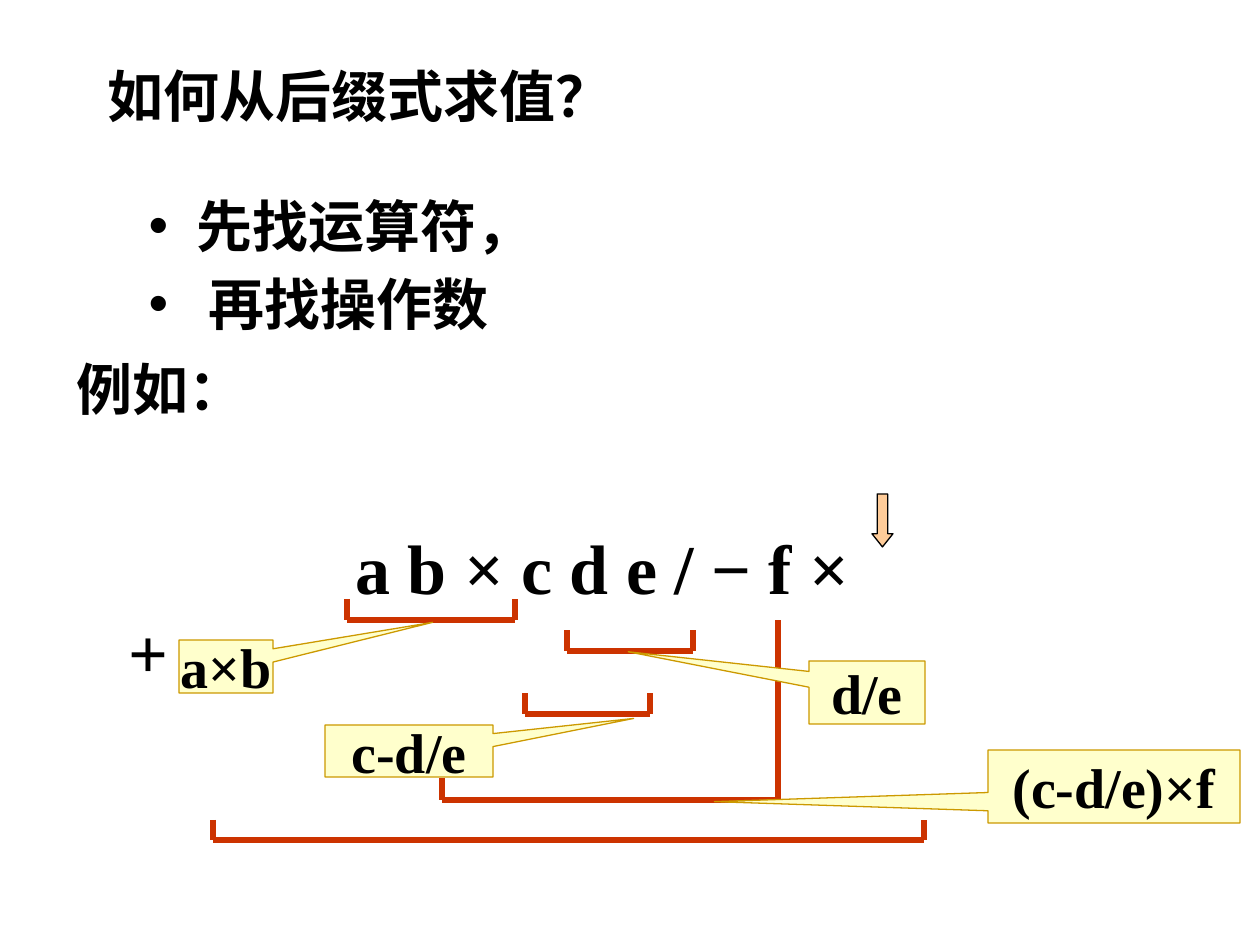
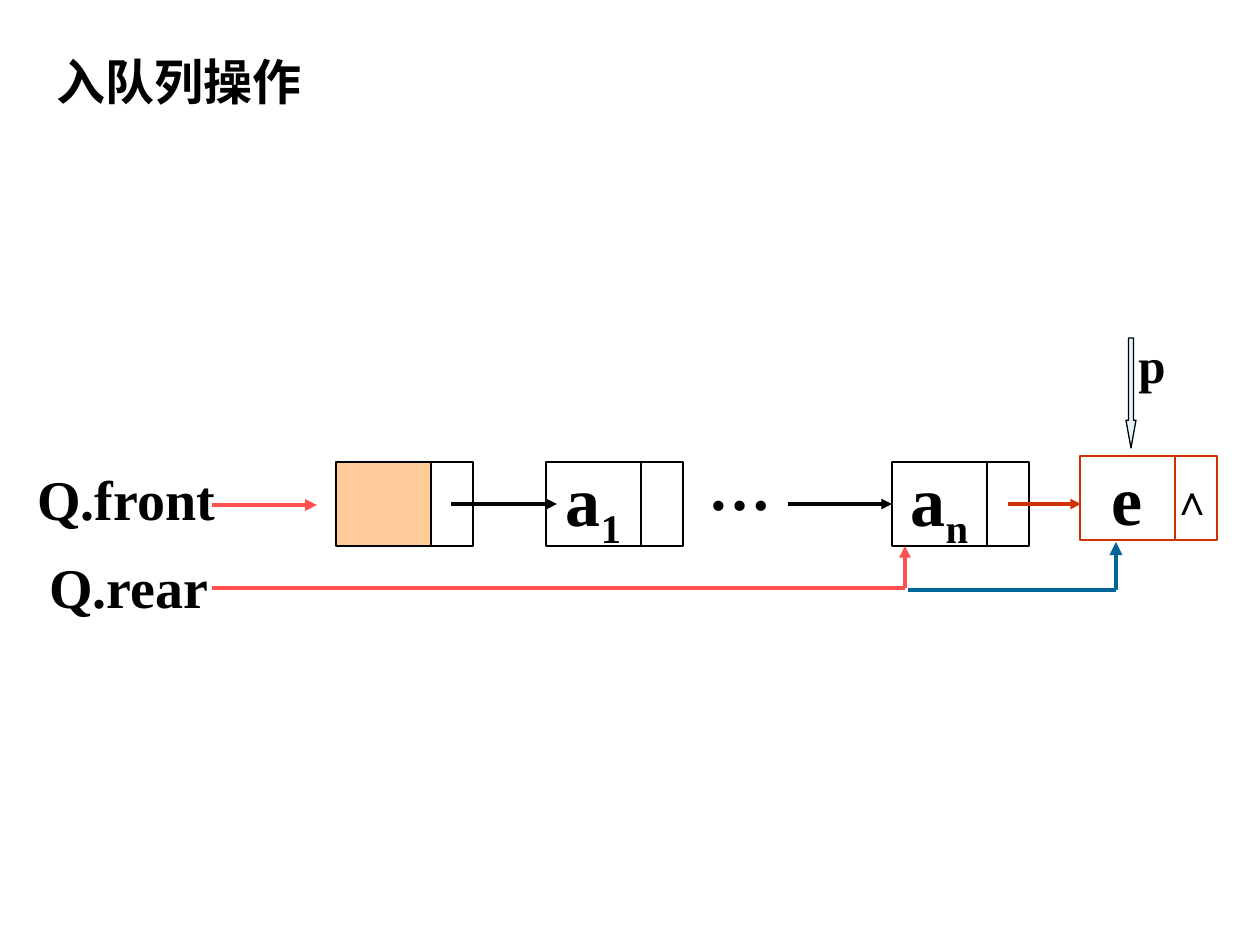
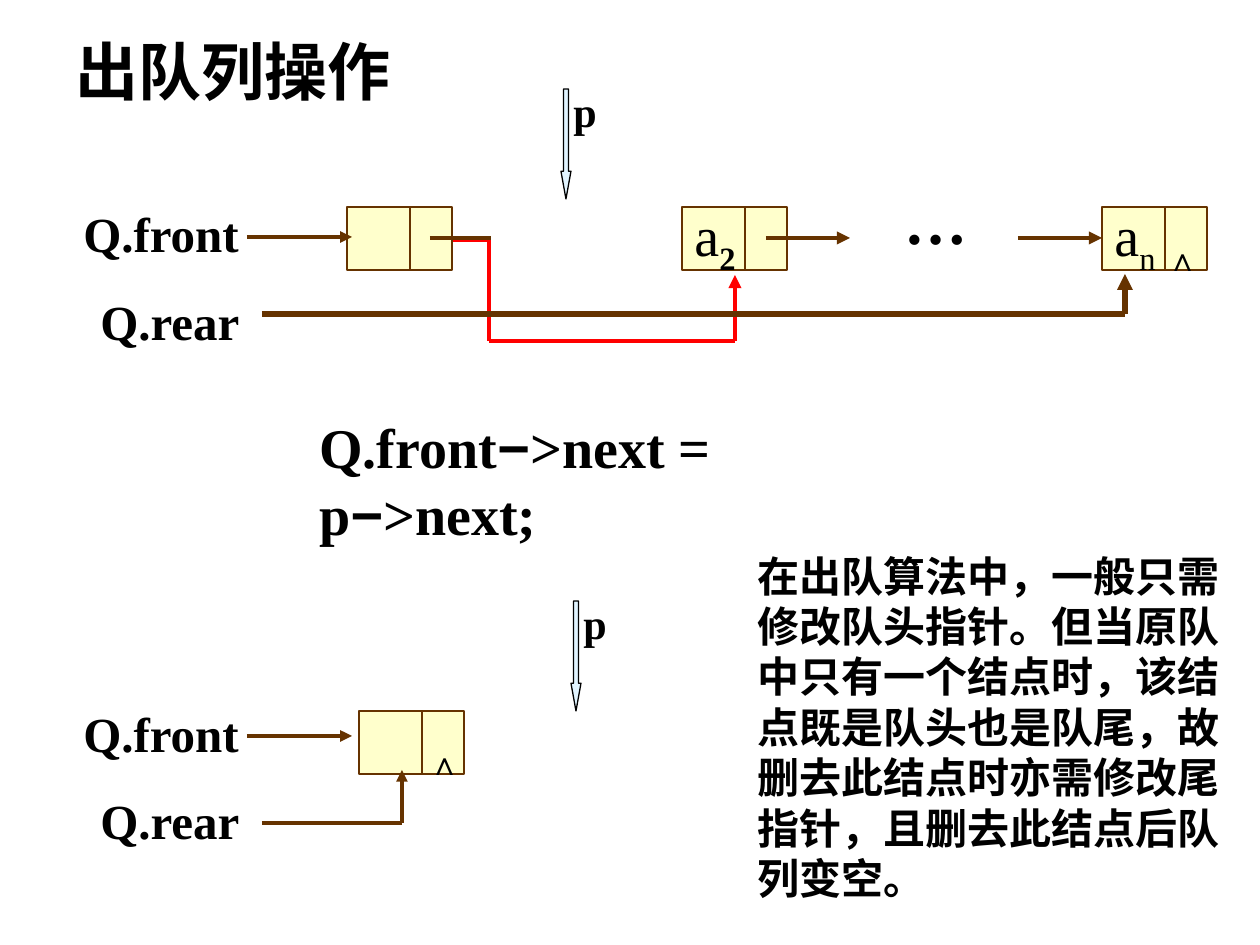
from lxml import etree
from pptx import Presentation
from pptx import util as u
from pptx.dml.color import RGBColor
from pptx.enum import shapes as kinds, text as t
from pptx.oxml.ns import qn

PX = 914400 / 126
BLACK = RGBColor(0, 0, 0)
RUST = RGBColor(0xCC, 0x33, 0x00)
GOLD = RGBColor(0xCC, 0x99, 0x00)
CREAM = RGBColor(0xFF, 0xFF, 0xCC)
PEACH = RGBColor(0xFF, 0xCC, 0x99)
CORAL = RGBColor(0xFF, 0x50, 0x50)
TEAL = RGBColor(0x00, 0x66, 0x99)
BROWN = RGBColor(0x66, 0x33, 0x00)
RED = RGBColor(0xFF, 0, 0)
ICE = RGBColor(0xE1, 0xF4, 0xFF)
SERIF, SANS, CJK = "Times New Roman", "Arial", "Noto Sans CJK SC"

POSTFIX_TITLE = "如何从后缀式求值？"
STEPS = [("先找运算符，", 48), ("再找操作数", 60)]
EXAMPLE = "例如："
FORMULA = "a b × c d e / − f × +"
BRACKETS = [
    (347, 515, 599, 599, 620),
    (567, 693, 630, 630, 651),
    (525, 650, 693, 693, 714),
    (442, 778, 778, 620, 800),
    (213, 924, 820, 820, 840),
]
CALLOUTS = [
    ("a×b", (179, 640, 94, 53), (2.197, -0.833)),
    ("d/e", (809, 661, 116, 63), (-2.059, -0.646)),
    ("c-d/e", (325, 725, 168, 52), (1.337, -0.625)),
    ("(c-d/e)×f", (988, 750, 252, 73), (-1.586, 0.208)),
]

ENQUEUE_TITLE = "入队列操作"
ENQUEUE_NODES = [
    (336, 462, "", PEACH, BLACK, 0.75),
    (546, 462, [("a", {}), ("1", {"base": -25})], None, BLACK, 0.75),
    (892, 462, [("a", {}), ("n", {"base": -25})], None, BLACK, 0.75),
    (1080, 456, "e", None, RUST, 1.5),
]
ENQUEUE_LINKS = [
    ([(212, 505), (317, 505)], CORAL, 2.25, True),
    ([(212, 588), (905, 588), (905, 546)], CORAL, 2.25, True),
    ([(908, 590), (1116, 590), (1116, 542)], TEAL, 2.5, True),
    ([(451, 504), (557, 504)], BLACK, 2, True),
    ([(788, 504), (892, 504)], BLACK, 2, True),
    ([(1008, 504), (1081, 504)], RUST, 2, True),
]

DEQUEUE_TITLE = "出队列操作"
DEQUEUE_NODES = [
    (347, 207, ""),
    (682, 207, [("a", {}), ("2", {"bold": True, "base": -25})]),
    (1102, 207, [("a", {}), ("n", {"base": -25})]),
    (359, 711, ""),
]
BYPASS = [(452, 240), (489, 240), (489, 341), (735, 341), (735, 275)]
DEQUEUE_LINKS = [
    ([(430, 238), (491, 238)], BROWN, 2.5, False),
    ([(766, 238), (850, 238)], BROWN, 2.5, True),
    ([(1018, 238), (1102, 238)], BROWN, 2.5, True),
    ([(262, 314), (1125, 314), (1125, 274)], BROWN, 3, True),
    ([(262, 823), (402, 823), (402, 770)], BROWN, 2.25, True),
]
RELINK = [("Q.front", {}), ("−", {"font": SANS}), (">next = p", {}),
          ("−", {"font": SANS}), (">next;", {})]
REMARK = ("在出队算法中，一般只需修改队头指针。但当原队中只有一个结点时，"
          "该结点既是队头也是队尾，故删去此结点时亦需修改尾指针，"
          "且删去此结点后队列变空。")


def box(*lengths):
    return [u.Emu(round(n * PX)) for n in lengths]


def write(frame, content, size=32, bold=True, font=SERIF, base=0, centred=False,
          anchor=t.MSO_ANCHOR.TOP, spacing=None, paragraph=None):
    frame.auto_size = t.MSO_AUTO_SIZE.NONE
    frame.word_wrap = not centred
    frame.vertical_anchor = anchor
    paragraph = paragraph or frame.paragraphs[0]
    paragraph.alignment = t.PP_ALIGN.CENTER if centred else t.PP_ALIGN.LEFT
    paragraph.space_before = u.Pt(0)
    if spacing:
        paragraph.line_spacing = spacing
    runs = [(content, {})] if isinstance(content, str) else content
    for words, changes in runs:
        look = {"bold": bold, "font": font, "base": base, **changes}
        run = paragraph.add_run()
        run.text = words
        run.font.size = u.Pt(size)
        run.font.bold = look["bold"]
        run.font.name = look["font"]
        run.font.color.rgb = BLACK
        props = run._r.get_or_add_rPr()
        if look["base"]:
            props.set("baseline", str(look["base"] * 1000))
        latin = props.find(qn("a:latin"))
        east = etree.Element(qn("a:ea"), typeface=CJK)
        latin.addnext(east)
    return paragraph


def label(slide, content, place, **look):
    frame = slide.shapes.add_textbox(*box(*place)).text_frame
    return write(frame, content, **look)


def place_title(slide, words, place, **look):
    title = slide.shapes.title
    title.left, title.top, title.width, title.height = box(*place)
    write(title.text_frame, words, **look)


def draw(slide, kind, place, fill, line, width=0.75, adjust=()):
    part = slide.shapes.add_shape(kind, *box(*place))
    part.shadow.inherit = False
    if fill is None:
        part.fill.background()
    else:
        part.fill.solid()
        part.fill.fore_color.rgb = fill
    part.line.color.rgb = line
    part.line.width = u.Pt(width)
    for i, value in enumerate(adjust):
        part.adjustments[i] = value
    return part


def route(slide, points, colour, width, arrow=False):
    for start, end in zip(points, points[1:]):
        link = slide.shapes.add_connector(kinds.MSO_CONNECTOR.STRAIGHT, *box(*start, *end))
        link.line.color.rgb = colour
        link.line.width = u.Pt(width)
        if arrow and end == points[-1]:
            etree.SubElement(link.line._get_or_add_ln(), qn("a:tailEnd"), type="triangle")
        etree.SubElement(link._element.spPr, qn("a:effectLst"))


def pointer_p(slide, x, y, size):
    label(slide, "p", (x, y - 10, 48, 72), size=size)
    draw(slide, kinds.MSO_SHAPE.DOWN_ARROW, (x, y, 10, 110), ICE, BLACK, adjust=(0.5, 2.772))


def postfix_slide(deck):
    slide = deck.slides.add_slide(deck.slide_layouts[1])
    place_title(slide, POSTFIX_TITLE, (95, 26, 714, 139), font=CJK,
                anchor=t.MSO_ANCHOR.MIDDLE)
    steps = slide.placeholders[1]
    steps.left, steps.top, steps.width, steps.height = box(136, 185, 567, 199)
    for i, (step, indent) in enumerate(STEPS):
        frame = steps.text_frame
        paragraph = frame.add_paragraph() if i else frame.paragraphs[0]
        write(frame, step, font=CJK, paragraph=paragraph)
        paragraph.space_before = u.Pt(6.4 if i else 0)
        margin = box(indent)[0]
        paragraph._p.get_or_add_pPr().set("marL", str(margin))
        paragraph._p.get_or_add_pPr().set("indent", str(-margin))
    formula = label(slide, FORMULA, (116, 518, 780, 180), size=40)
    formula._p.get_or_add_pPr().set("indent", str(box(227)[0]))
    for left, right, left_top, right_top, base in BRACKETS:
        route(slide, [(left, left_top), (left, base), (right, base), (right, right_top)],
              RUST, 3)
    for words, place, tip in CALLOUTS:
        callout = draw(slide, kinds.MSO_SHAPE.RECTANGULAR_CALLOUT, place, CREAM, GOLD,
                       adjust=tip)
        write(callout.text_frame, words, centred=True, anchor=t.MSO_ANCHOR.MIDDLE)
    draw(slide, kinds.MSO_SHAPE.DOWN_ARROW, (872, 494, 21, 53), PEACH, BLACK,
         adjust=(0.5, 0.625))
    label(slide, EXAMPLE, (64, 363, 348, 50), font=CJK, anchor=t.MSO_ANCHOR.MIDDLE)


def enqueue_slide(deck):
    slide = deck.slides.add_slide(deck.slide_layouts[5])
    place_title(slide, ENQUEUE_TITLE, (44, 45, 357, 72), size=28)
    label(slide, "Q.front", (25, 452, 224, 87), spacing=1.1)
    label(slide, "Q.rear", (37, 546, 205, 79))
    for x, y, words, fill, line, width in ENQUEUE_NODES:
        draw(slide, kinds.MSO_SHAPE.RECTANGLE, (x + 95, y, 42, 84), None, line, width)
        cell = draw(slide, kinds.MSO_SHAPE.RECTANGLE, (x, y, 95, 84), fill, line, width)
        if words:
            write(cell.text_frame, words, size=40, centred=True, anchor=t.MSO_ANCHOR.MIDDLE)
    for link in ENQUEUE_LINKS:
        route(slide, *link)
    label(slide, "…", (696, 441, 92, 88), size=36)
    label(slide, "∧", (1159, 467, 68, 63), size=24)
    pointer_p(slide, 1126, 338, 28)


def dequeue_slide(deck):
    slide = deck.slides.add_slide(deck.slide_layouts[5])
    place_title(slide, DEQUEUE_TITLE, (63, 26, 357, 88), size=36)
    route(slide, BYPASS, RED, 2.5, True)
    for x, y, words in DEQUEUE_NODES:
        cell = draw(slide, kinds.MSO_SHAPE.RECTANGLE, (x, y, 105, 63), CREAM, BROWN, 1.5)
        if words:
            write(cell.text_frame, words, bold=False, anchor=t.MSO_ANCHOR.MIDDLE)
        route(slide, [(x + 63, y), (x + 63, y + 63)], BROWN, 1)
    for link in DEQUEUE_LINKS:
        route(slide, *link)
    for drop in (0, 499):
        label(slide, "Q.front", (71, 192 + drop, 201, 77), size=28, spacing=1.1)
        label(slide, "Q.rear", (88, 285 + drop, 185, 72), size=28)
        route(slide, [(247, 237 + drop), (352, 237 + drop)], BROWN, 2.25, True)
    for x, y in ((1154, 195), (416, 699)):
        label(slide, "∧", (x, y, 62, 57), base=-25)
    label(slide, "…", (892, 175, 95, 88), size=36)
    pointer_p(slide, 561, 89, 24)
    pointer_p(slide, 571, 601, 24)
    label(slide, RELINK, (307, 406, 440, 146))
    label(slide, REMARK, (745, 544, 512, 365), size=24, font=SANS)


def main():
    deck = Presentation()
    deck.slide_width, deck.slide_height = box(1260, 945)
    postfix_slide(deck)
    enqueue_slide(deck)
    dequeue_slide(deck)
    deck.save("out.pptx")


if __name__ == "__main__":
    main()
